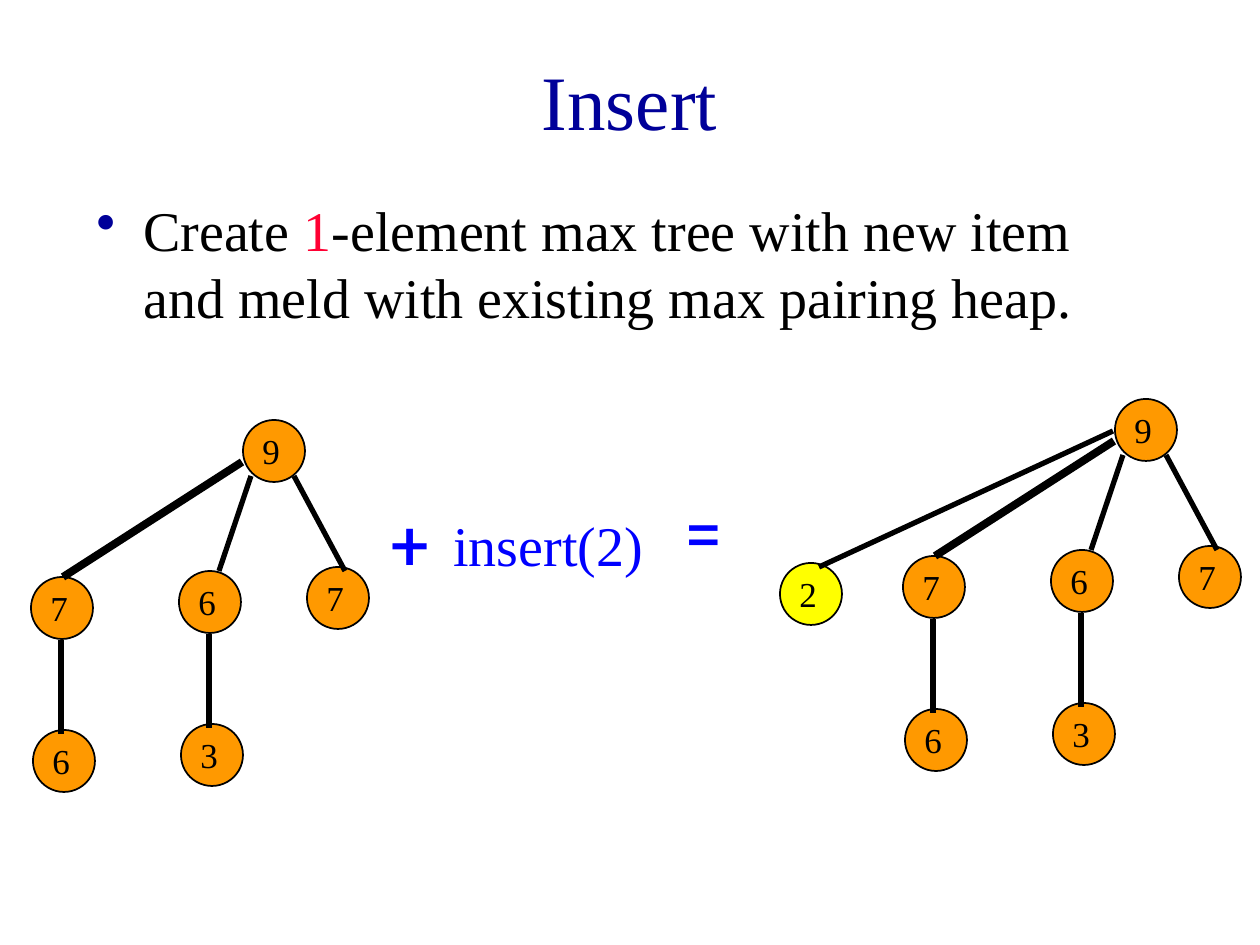
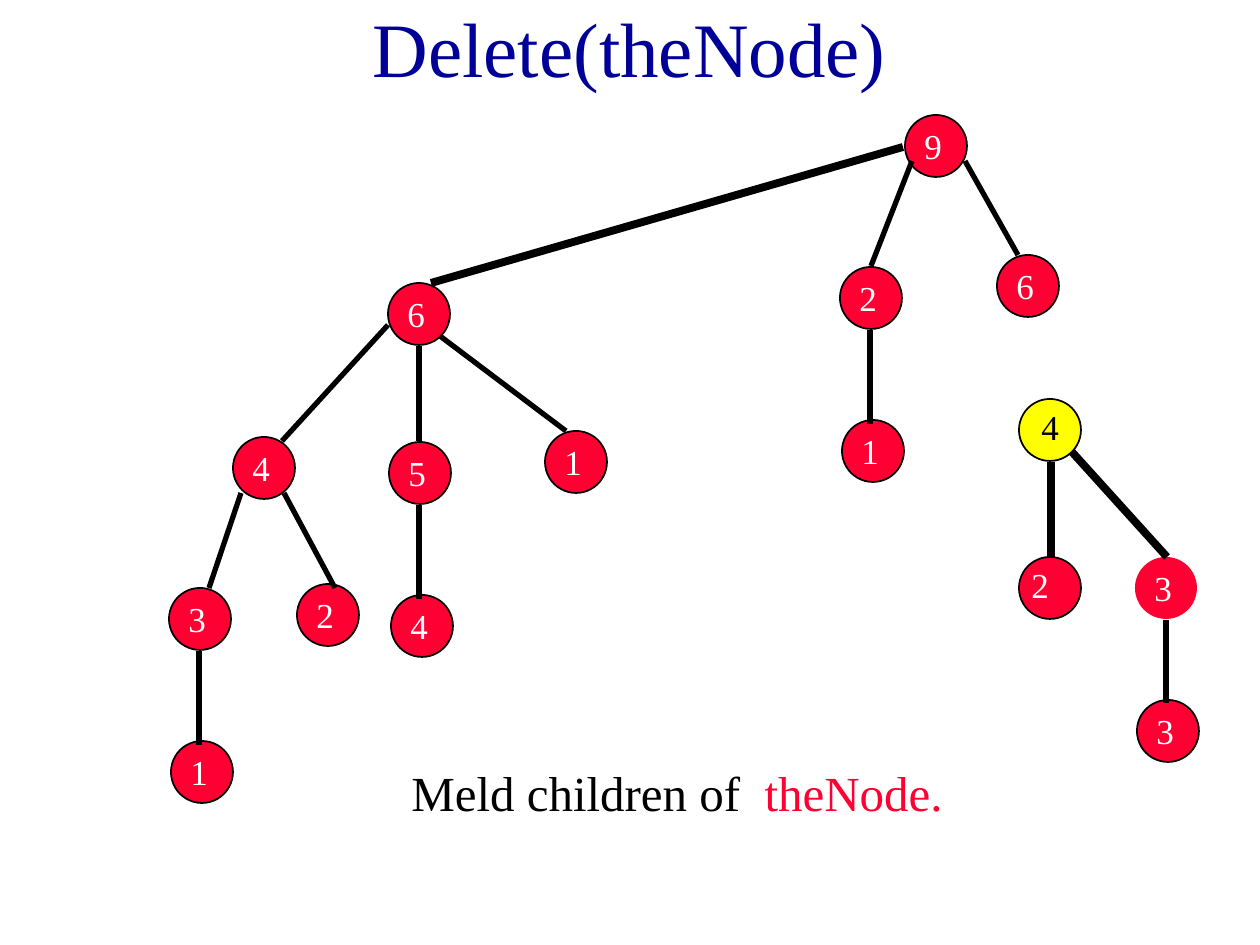
import dataclasses

import pptx
import pptx.dml.color
import pptx.enum.shapes
import pptx.enum.text
import pptx.oxml.ns
import pptx.util
from lxml import etree

RGB = pptx.dml.color.RGBColor
Pt = pptx.util.Pt
ANCHOR = pptx.enum.text.MSO_ANCHOR
ALIGN = pptx.enum.text.PP_ALIGN
FIT = pptx.enum.text.MSO_AUTO_SIZE

BLACK = RGB(0x00, 0x00, 0x00)
WHITE = RGB(0xFF, 0xFF, 0xFF)
NAVY = RGB(0x00, 0x00, 0x99)
BLUE = RGB(0x00, 0x00, 0xFF)
RED = RGB(0xFF, 0x00, 0x33)
ORANGE = RGB(0xFF, 0x99, 0x00)
YELLOW = RGB(0xFF, 0xFF, 0x00)

PX_PER_INCH = 126
NODE = 62
LABEL = (43, 54)
THIN, THICK = 3, 4.5
SERIF, SLAB = "Times New Roman", "Roboto Slab"


@dataclasses.dataclass
class Node:
    text: str
    x: int
    y: int
    fill: RGB
    ink: RGB
    shift: tuple = (7, 3)
    outlined: bool = True


def chain(texts, x, y, fill, ink):
    """A node with one child straight below: (nodes, edges)."""
    top, bottom = texts
    return ([Node(top, x, y, fill, ink), Node(bottom, x + 2, y + 153, fill, ink)],
            [(x + 30, y + 63, x + 30, y + 157, THIN)])


def family(texts, x, y, fill, ink):
    """A root with a left chain and a right leaf: (nodes, edges)."""
    root, left, grandchild, right = texts
    nodes, edges = chain((left, grandchild), x - 64, y + 151, fill, ink)
    return ([Node(root, x, y, fill, ink), Node(right, x + 64, y + 147, fill, ink)] + nodes,
            edges + [(x + 8, y + 56, x - 24, y + 151, THIN),
                     (x + 51, y + 56, x + 102, y + 151, THIN)])


def heap(dx, dy):
    """The heap of the insert example, moved by (dx, dy)."""
    return [
        family("9637", 243 + dx, 420 + dy, ORANGE, BLACK),
        chain("76", 31 + dx, 577 + dy, ORANGE, BLACK),
        ([], [(242 + dx, 462 + dy, 63 + dx, 577 + dy, THICK)]),
    ]


INSERT = {
    "title": ("Insert", (94, 21, 1071, 158)),
    "texts": [
        {"at": (84, 189, 1071, 179), "size": 32, "before": 8, "bullet": True,
         "runs": [("Create ", BLACK), ("1", RED),
                  ("-element max tree with new item and meld with existing max pairing heap.",
                   BLACK)]},
        {"at": (378, 494, 84, 97), "size": 40, "before": 25, "font": SLAB,
         "grow": True, "runs": [("+", BLUE)]},
        {"at": (441, 504, 273, 81), "size": 32, "before": 20,
         "grow": True, "runs": [("insert(2)", BLUE)]},
        {"at": (672, 483, 84, 97), "size": 40, "before": 25, "font": SLAB,
         "grow": True, "runs": [("=", BLUE)]},
    ],
    "trees": heap(0, 0) + heap(872, -21) + [
        ([Node("2", 780, 563, YELLOW, BLACK)], [(1113, 431, 819, 567, THIN)]),
    ],
}

DELETE = {
    "title": ("Delete(theNode)", (94, 0, 1071, 94)),
    "texts": [
        {"at": (399, 756, 609, 72), "size": 28, "before": 17.5, "fill": WHITE,
         "grow": True, "runs": [("Meld children of ", BLACK), (" theNode.", RED)]},
    ],
    "trees": [
        ([Node("2", 1019, 557, RED, WHITE, shift=(0, 0)),
          Node("4", 1019, 399, YELLOW, BLACK, shift=(10, 0)),
          Node("3", 1135, 557, RED, WHITE, outlined=False),
          Node("3", 1137, 700, RED, WHITE)],
         [(1166, 620, 1166, 703, THIN), (1051, 462, 1051, 557, THICK),
          (1072, 452, 1167, 557, THICK)]),
        chain("21", 840, 267, RED, WHITE),
        ([Node("9", 905, 115, RED, WHITE), Node("6", 997, 255, RED, WHITE)],
         [(912, 161, 871, 266, THIN), (965, 161, 1018, 255, THIN)]),
        chain("54", 389, 442, RED, WHITE),
        ([Node("6", 388, 283, RED, WHITE), Node("1", 545, 431, RED, WHITE)],
         [(419, 346, 419, 441, THIN), (440, 336, 566, 431, THIN)]),
        family("4312", 233, 437, RED, WHITE),
        ([], [(388, 325, 282, 441, THIN), (903, 147, 431, 283, THICK)]),
    ],
}


def px(*lengths):
    return [pptx.util.Emu(round(n * 914400 / PX_PER_INCH)) for n in lengths]


def add_bullet(p, color):
    pPr = p._p.get_or_add_pPr()
    indent = px(47)[0]
    pPr.set("marL", str(indent))
    pPr.set("indent", str(-indent))
    clr = etree.SubElement(pPr, pptx.oxml.ns.qn("a:buClr"))
    etree.SubElement(clr, pptx.oxml.ns.qn("a:srgbClr"), val=str(color))
    etree.SubElement(pPr, pptx.oxml.ns.qn("a:buChar"), char="•")


def add_text(slide, at, runs, size, font=SERIF, before=0, fill=None, grow=False,
             bullet=False, wrap=True, anchor=ANCHOR.TOP, align=ALIGN.LEFT):
    sp = slide.shapes.add_textbox(*px(*at))
    if fill is not None:
        sp.fill.solid()
        sp.fill.fore_color.rgb = fill
    tf = sp.text_frame
    frame = {"word_wrap": wrap, "vertical_anchor": anchor,
             "auto_size": FIT.SHAPE_TO_FIT_TEXT if grow else FIT.NONE}
    for name, value in frame.items():
        setattr(tf, name, value)
    p = tf.paragraphs[0]
    p.alignment = align
    p.space_before = Pt(before)
    if bullet:
        add_bullet(p, NAVY)
    for text, color in runs:
        r = p.add_run()
        r.text = text
        for name, value in {"size": Pt(size), "name": font}.items():
            setattr(r.font, name, value)
        r.font.color.rgb = color


def add_circle(slide, node):
    sp = slide.shapes.add_shape(pptx.enum.shapes.MSO_SHAPE.OVAL,
                                *px(node.x, node.y, NODE, NODE))
    sp.shadow.inherit = False
    sp.fill.solid()
    sp.fill.fore_color.rgb = node.fill
    if node.outlined:
        sp.line.color.rgb = BLACK
        sp.line.width = Pt(1)
    else:
        sp.line.fill.background()


def add_label(slide, node):
    dx, dy = node.shift
    add_text(slide, (node.x + dx, node.y + dy, *LABEL), [(node.text, node.ink)], 20,
             grow=True, wrap=False)


def add_edge(slide, x1, y1, x2, y2, width):
    line = slide.shapes.add_connector(pptx.enum.shapes.MSO_CONNECTOR.STRAIGHT,
                                      *px(x1, y1, x2, y2))
    line.line.color.rgb = BLACK
    line.line.width = Pt(width)
    etree.SubElement(line._element.spPr, pptx.oxml.ns.qn("a:effectLst"))


def build_slide(prs, content):
    slide = prs.slides.add_slide(prs.slide_layouts[6])
    title, at = content["title"]
    add_text(slide, at, [(title, NAVY)], 44, anchor=ANCHOR.MIDDLE, align=ALIGN.CENTER)
    for text in content["texts"]:
        add_text(slide, **text)
    for nodes, edges in content["trees"]:
        for node in nodes:
            add_circle(slide, node)
        for node in nodes:
            add_label(slide, node)
        for edge in edges:
            add_edge(slide, *edge)


def main():
    prs = pptx.Presentation()
    prs.slide_width, prs.slide_height = px(1260, 945)
    for content in (INSERT, DELETE):
        build_slide(prs, content)
    prs.save("out.pptx")


if __name__ == "__main__":
    main()
